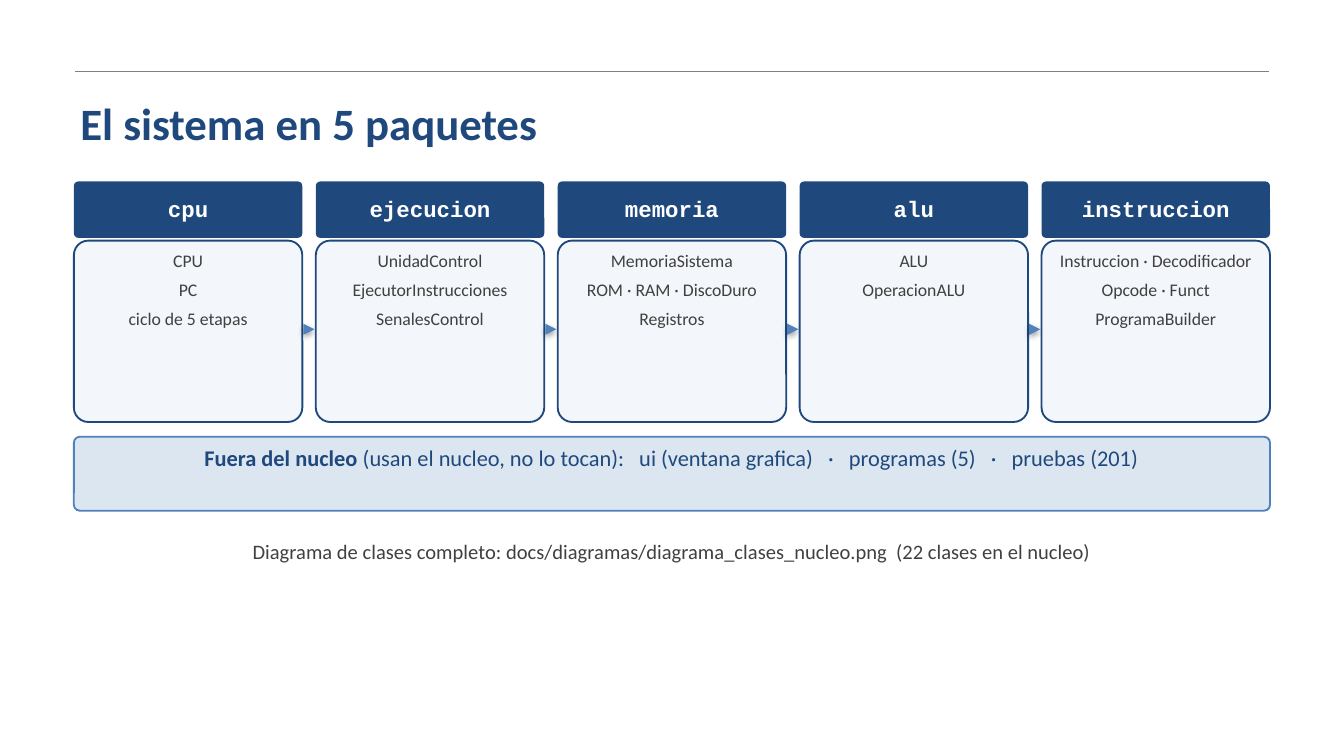
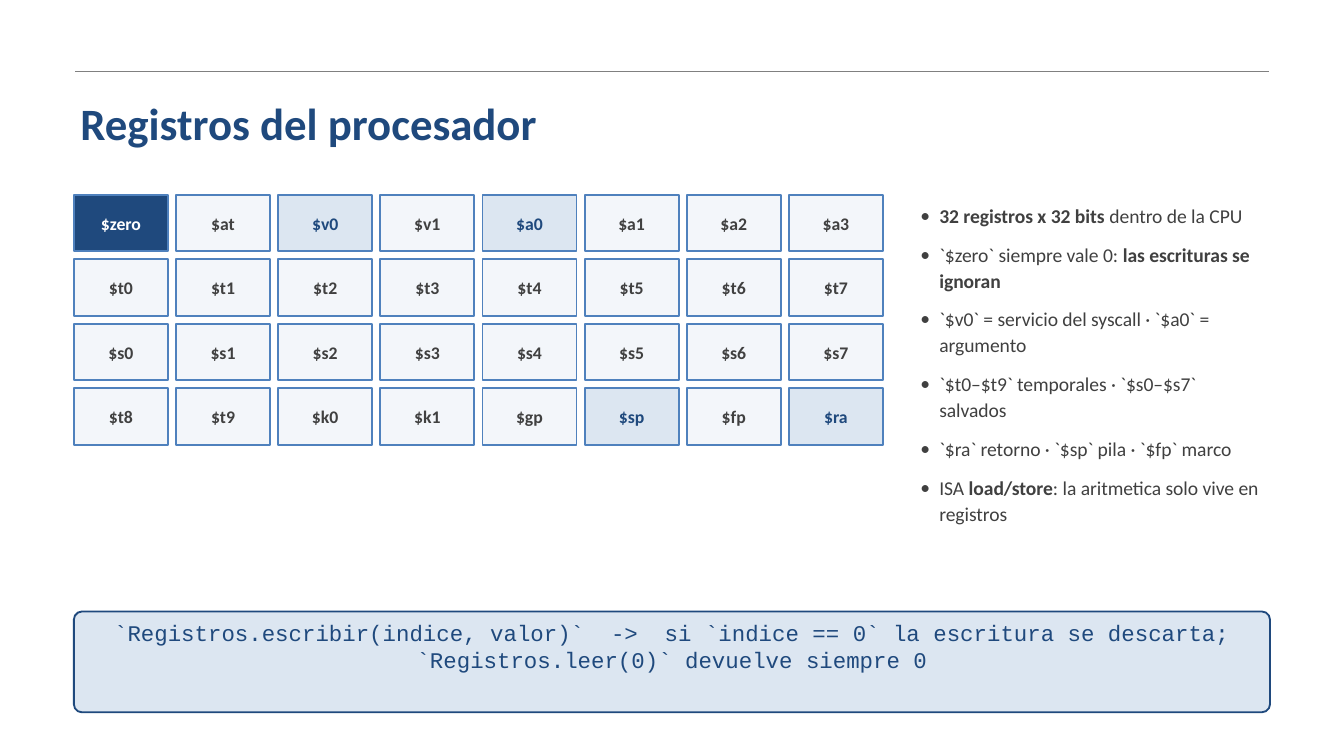
import pptx
import pptx.dml.color
import pptx.enum.shapes
import pptx.enum.text
import pptx.oxml.ns
import pptx.util
from lxml import etree

PX = 9144  # 100 px to the inch
NAVY, BLUE, PALE, MIST = "1F497D", "4F81BD", "DCE6F1", "F3F6FA"
GREY, RULE, WHITE = "404040", "808080", "FFFFFF"
BODY, CODE = "Calibri", "Courier New"
LEFT, WIDTH = 55, 890

SHAPE = pptx.enum.shapes.MSO_SHAPE
ANCHOR = pptx.enum.text.MSO_ANCHOR
CENTER = pptx.enum.text.PP_ALIGN.CENTER
ALIGN_LEFT = pptx.enum.text.PP_ALIGN.LEFT

PACKAGES = {
    "cpu": ["CPU", "PC", "ciclo de 5 etapas"],
    "ejecucion": ["UnidadControl", "EjecutorInstrucciones", "SenalesControl"],
    "memoria": ["MemoriaSistema", "ROM · RAM · DiscoDuro", "Registros"],
    "alu": ["ALU", "OperacionALU"],
    "instruccion": ["Instruccion · Decodificador", "Opcode · Funct", "ProgramaBuilder"],
}
REGISTERS = [
    "$zero $at $v0 $v1 $a0 $a1 $a2 $a3",
    "$t0 $t1 $t2 $t3 $t4 $t5 $t6 $t7",
    "$s0 $s1 $s2 $s3 $s4 $s5 $s6 $s7",
    "$t8 $t9 $k0 $k1 $gp $sp $fp $ra",
]
SPECIAL_REGISTERS = {"$v0", "$a0", "$sp", "$ra"}
# Text between ** marks is bold
REGISTER_NOTES = [
    "**32 registros x 32 bits** dentro de la CPU",
    "`$zero` siempre vale 0: **las escrituras se ignoran**",
    "`$v0` = servicio del syscall · `$a0` = argumento",
    "`$t0–$t9` temporales · `$s0–$s7` salvados",
    "`$ra` retorno · `$sp` pila · `$fp` marco",
    "ISA **load/store**: la aritmetica solo vive en registros",
]


def px(*lengths):
    return [pptx.util.Emu(length * PX) for length in lengths]


def color(value):
    return pptx.dml.color.RGBColor.from_string(value)


def add_bullet(paragraph, indent, font):
    properties = paragraph._p.get_or_add_pPr()
    properties.set("marL", str(indent * PX))
    properties.set("indent", str(-indent * PX))
    for tag, name, value in (("a:buFont", "typeface", font), ("a:buChar", "char", "•")):
        etree.SubElement(properties, pptx.oxml.ns.qn(tag)).set(name, value)


def write(frame, text, size=12, font=BODY, ink=GREY, bold=False, align=CENTER,
          after=0, spacing=None, insets=(0, 0, 0, 0), anchor=ANCHOR.TOP, bullet=0):
    """Fill a text frame, one paragraph for each line of text."""
    frame.word_wrap = True
    frame.vertical_anchor = anchor
    (frame.margin_left, frame.margin_top,
     frame.margin_right, frame.margin_bottom) = px(*insets)
    for number, line in enumerate(text.split("\n")):
        paragraph = frame.add_paragraph() if number else frame.paragraphs[0]
        paragraph.alignment = align
        paragraph.space_after = pptx.util.Pt(after)
        if spacing:
            paragraph.line_spacing = spacing
        if bullet:
            add_bullet(paragraph, bullet, font)
        for part, words in enumerate(line.split("**")):
            if words:
                run = paragraph.add_run()
                run.text = words
                run.font.name = font
                run.font.size = pptx.util.Pt(size)
                run.font.bold = bold or part % 2 == 1
                run.font.color.rgb = color(ink)


def add_label(slide, box, text, **style):
    label = slide.shapes.add_textbox(*px(*box))
    write(label.text_frame, text, **style)


def add_panel(slide, box, fill, outline=None, text="", kind=SHAPE.ROUNDED_RECTANGLE, **style):
    panel = slide.shapes.add_shape(kind, *px(*box))
    panel.shadow.inherit = False
    if kind == SHAPE.ROUNDED_RECTANGLE:
        panel.adjustments[0] = 0.08
    panel.fill.solid()
    panel.fill.fore_color.rgb = color(fill)
    if outline:
        panel.line.color.rgb = color(outline)
        panel.line.width = pptx.util.Pt(1)
    else:
        panel.line.fill.background()
    if text:
        write(panel.text_frame, text, **{"insets": (7, 4, 7, 4), **style})


def add_line(slide, start, end, y, ink, width, arrow=False):
    line = slide.shapes.add_connector(
        pptx.enum.shapes.MSO_CONNECTOR.STRAIGHT, *px(start, y, end, y))
    line.line.color.rgb = color(ink)
    line.line.width = pptx.util.Pt(width)
    if arrow:  # arrows keep the theme shadow
        head = etree.SubElement(line.line._get_or_add_ln(), pptx.oxml.ns.qn("a:tailEnd"))
        head.set("type", "triangle")
    else:
        etree.SubElement(line._element.spPr, pptx.oxml.ns.qn("a:effectLst"))


def add_titled_slide(deck, title):
    slide = deck.slides.add_slide(deck.slide_layouts[6])
    add_line(slide, 56, 944, 53, RULE, 0.75)
    add_label(slide, (50, 75, 900, 37), title, size=24, ink=NAVY, bold=True,
              align=ALIGN_LEFT, spacing=pptx.util.Pt(26), insets=(10, 5, 10, 5),
              anchor=ANCHOR.MIDDLE)
    return slide


def build_packages(deck):
    slide = add_titled_slide(deck, "El sistema en 5 paquetes")

    # Package columns with arrows between them
    column, step = 170, 180
    for index, (package, classes) in enumerate(PACKAGES.items()):
        x = LEFT + index * step
        if index:
            add_line(slide, x - 9, x - 1, 245, BLUE, 1.5, arrow=True)
        add_panel(slide, (x, 135, column, 42), NAVY)
        add_label(slide, (x, 144, column, 30), package, font=CODE, ink=WHITE,
                  bold=True, spacing=1.05)
        add_panel(slide, (x, 179, column, 135), MIST, NAVY, "\n".join(classes),
                  size=9.5, after=4)

    # Parts outside the core
    add_panel(slide, (LEFT, 325, WIDTH, 55), PALE, BLUE,
              "**Fuera del nucleo** (usan el nucleo, no lo tocan):   ui (ventana grafica)"
              "   ·   programas (5)   ·   pruebas (201)", ink=NAVY, after=3)
    add_label(slide, (LEFT, 400, WIDTH, 90),
              "Diagrama de clases completo: docs/diagramas/diagrama_clases_nucleo.png"
              "  (22 clases en el nucleo)", size=11, spacing=1.05)


def build_registers(deck):
    slide = add_titled_slide(deck, "Registros del procesador")

    # Register grid
    cell_width, cell_height, gap = 70, 42, 6
    for row, names in enumerate(REGISTERS):
        for column, register in enumerate(names.split()):
            fill, ink = MIST, GREY
            if register == "$zero":
                fill, ink = NAVY, WHITE
            elif register in SPECIAL_REGISTERS:
                fill, ink = PALE, NAVY
            box = (LEFT + column * (cell_width + gap), 145 + row * (cell_height + gap),
                   cell_width, cell_height)
            add_panel(slide, box, fill, BLUE, register, kind=SHAPE.RECTANGLE, size=9.5,
                      ink=ink, bold=True, insets=(4, 0, 4, 0), anchor=ANCHOR.MIDDLE)

    # Notes and the rule for register zero
    add_label(slide, (675, 145, 275, 290), "\n".join(REGISTER_NOTES), size=10.5,
              align=ALIGN_LEFT, after=7, spacing=1.1, insets=(10, 5, 10, 5), bullet=14)
    add_panel(slide, (LEFT, 455, WIDTH, 75), PALE, NAVY,
              "`Registros.escribir(indice, valor)`  ->  si `indice == 0` la escritura se "
              "descarta; `Registros.leer(0)` devuelve siempre 0",
              font=CODE, ink=NAVY, after=3)


def main():
    deck = pptx.Presentation()
    deck.slide_width = pptx.util.Inches(10)
    deck.slide_height = deck.slide_width * 9 // 16
    build_packages(deck)
    build_registers(deck)
    deck.save("out.pptx")


if __name__ == "__main__":
    main()
